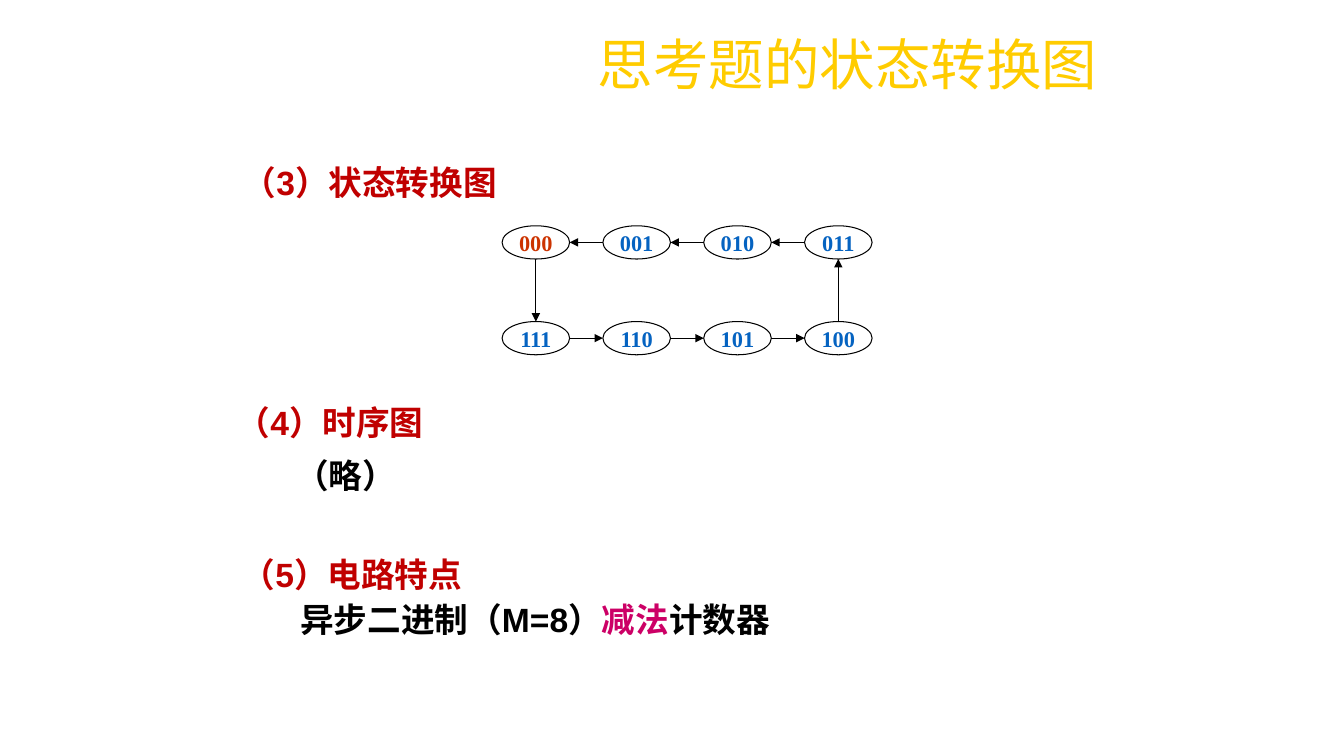
from dataclasses import dataclass

import pptx
import pptx.dml.color
import pptx.enum.shapes
import pptx.enum.text
import pptx.oxml
import pptx.oxml.ns
import pptx.util
from pptx.util import Inches, Pt

ALIGN = pptx.enum.text.PP_ALIGN
ANCHOR = pptx.enum.text.MSO_ANCHOR


@dataclass(frozen=True)
class Theme:
    title: str = "FFCC00"
    heading: str = "C00000"
    body: str = "000000"
    emphasis: str = "CC0066"
    state: str = "0563C1"
    start_state: str = "CC3300"
    line: str = "000000"
    text_font: str = "Arial"
    state_font: str = "Times New Roman"
    title_size: float = 39.6
    body_size: float = 24
    state_size: float = 16
    line_width: float = 0.75


THEME = Theme()
STATE_ROWS = [["000", "001", "010", "011"], ["111", "110", "101", "100"]]
STATE_SIZE = (0.67, 0.33)
STATE_PITCH = (1.0, 0.95)
BODY_INDENT = 0.58


def rgb(colour):
    return pptx.dml.color.RGBColor.from_string(colour)


def add_run(paragraph, text, colour, size=THEME.body_size, font=THEME.text_font, bold=True):
    run = paragraph.add_run()
    run.text = text
    run.font.name = font
    run.font.size = Pt(size)
    run.font.bold = bold
    run.font.color.rgb = rgb(colour)


def add_title(slide, box, text):
    title = slide.shapes.title
    title.left, title.top, title.width, title.height = map(Inches, box)
    frame = title.text_frame
    frame.auto_size = pptx.enum.text.MSO_AUTO_SIZE.NONE
    frame.vertical_anchor = ANCHOR.MIDDLE
    paragraph = frame.paragraphs[0]
    paragraph.alignment = ALIGN.LEFT
    paragraph.line_spacing = 0.9
    add_run(paragraph, text, THEME.title, THEME.title_size, bold=False)


def add_section(slide, box, heading, body=(), line_spacing=0.9, gap=0):
    """Place a heading and, below it, one indented line of (text, colour) runs."""
    frame = slide.shapes.add_textbox(*map(Inches, box)).text_frame
    frame.word_wrap = True
    heading_line = frame.paragraphs[0]
    add_run(heading_line, heading, THEME.heading)
    if body:
        body_line = frame.add_paragraph()
        body_line.space_before = Pt(gap)
        body_line._p.get_or_add_pPr().set("marL", str(Inches(BODY_INDENT)))
        for text, colour in body:
            add_run(body_line, text, colour)
    for paragraph in frame.paragraphs:
        paragraph.alignment = ALIGN.JUSTIFY
        paragraph.line_spacing = line_spacing


def add_state(slide, left, top, code):
    state = slide.shapes.add_shape(pptx.enum.shapes.MSO_SHAPE.OVAL,
                                   *map(Inches, (left, top, *STATE_SIZE)))
    state.shadow.inherit = False
    state.fill.background()
    state.line.color.rgb = rgb(THEME.line)
    state.line.width = Pt(THEME.line_width)
    frame = state.text_frame
    frame.margin_left = frame.margin_right = frame.margin_top = frame.margin_bottom = 0
    frame.word_wrap = False
    frame.vertical_anchor = ANCHOR.MIDDLE
    paragraph = frame.paragraphs[0]
    paragraph.alignment = ALIGN.CENTER
    colour = THEME.start_state if code == "000" else THEME.state
    add_run(paragraph, code, colour, THEME.state_size, THEME.state_font)


def add_arrow(slide, start, end):
    arrow = slide.shapes.add_connector(pptx.enum.shapes.MSO_CONNECTOR.STRAIGHT,
                                       *map(Inches, (*start, *end)))
    arrow.line.color.rgb = rgb(THEME.line)
    arrow.line.width = Pt(THEME.line_width)
    tail = pptx.oxml.parse_xml(f'<a:tailEnd {pptx.oxml.ns.nsdecls("a")} type="triangle"/>')
    arrow.line._get_or_add_ln().append(tail)
    effects = pptx.oxml.parse_xml(f'<a:effectLst {pptx.oxml.ns.nsdecls("a")}/>')
    arrow._element.spPr.append(effects)


def add_state_diagram(slide, left, top):
    """Draw the state ring: leftwards on top, rightwards below, joined at both ends."""
    width, height = STATE_SIZE
    across, down = STATE_PITCH
    last = len(STATE_ROWS[0]) - 1
    for row, codes in enumerate(STATE_ROWS):
        y = top + row * down
        for column, code in enumerate(codes):
            x = left + column * across
            add_state(slide, x, y, code)
            if column < last:
                ends = [(x + across, y + height / 2), (x + width, y + height / 2)]
                add_arrow(slide, *(ends if row == 0 else reversed(ends)))
    middle = left + width / 2
    add_arrow(slide, (middle, top + height), (middle, top + down))
    middle += last * across
    add_arrow(slide, (middle, top + down), (middle, top + height))


def main():
    deck = pptx.Presentation()
    deck.slide_width, deck.slide_height = Inches(13.33), Inches(7.5)
    slide = deck.slides.add_slide(deck.slide_layouts[5])
    add_title(slide, (5.83, 0.33, 7.5, 0.67), "思考题的状态转换图")
    add_section(slide, (2.31, 1.6, 3.5, 0.46), "（3）状态转换图")
    add_state_diagram(slide, 4.98, 2.24)
    add_section(slide, (2.25, 3.98, 2.35, 1.03), "（4）时序图",
                [("（略）", THEME.body)], gap=12)
    add_section(slide, (2.3, 5.4, 8.42, 1), "（5）电路特点",
                [("异步二进制（M=8）", THEME.body), ("减法", THEME.emphasis),
                 ("计数器", THEME.body)], line_spacing=Pt(32))
    deck.save("out.pptx")


if __name__ == "__main__":
    main()
